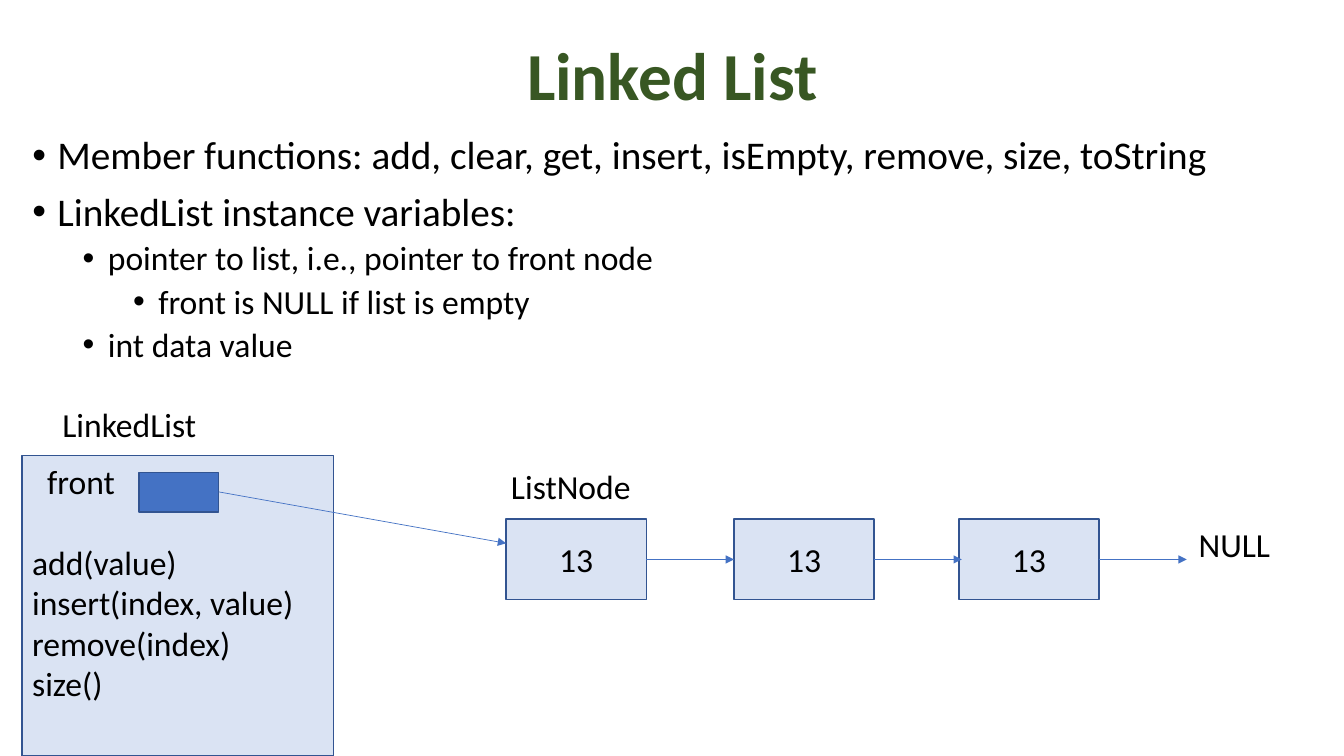
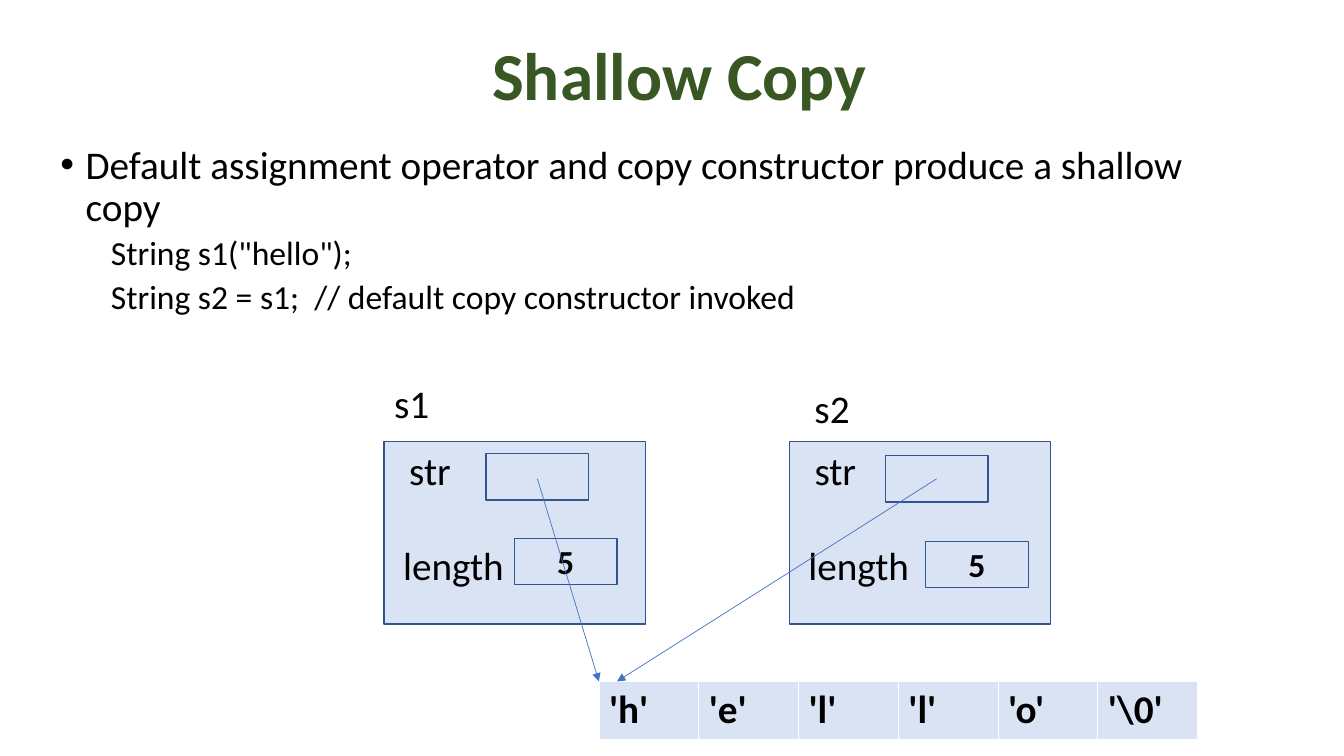
from lxml import etree
from pptx import Presentation
from pptx.dml.color import RGBColor
from pptx.enum.shapes import MSO_CONNECTOR as Connector, MSO_SHAPE as Preset
from pptx.enum.text import MSO_ANCHOR as Anchor, MSO_AUTO_SIZE as AutoSize, PP_ALIGN as Align
from pptx.oxml.ns import qn
from pptx.util import Inches, Pt

BLACK = RGBColor(0x00, 0x00, 0x00)
GREEN = RGBColor(0x38, 0x57, 0x23)
BLUE = RGBColor(0x44, 0x72, 0xC4)
DARK_BLUE = RGBColor(0x32, 0x54, 0x91)
PALE_BLUE = RGBColor(0xDA, 0xE3, 0xF3)
FONT = "Calibri"
SIZES = [28, 24, 24]  # body text by level

# Body lines: (level, bulleted, text)
LIST_BODY = [
    (0, True, "Member functions: add, clear, get, insert, isEmpty, remove, size, toString"),
    (0, True, "LinkedList instance variables:"),
    (1, True, "pointer to list, i.e., pointer to front node"),
    (2, True, "front is NULL if list is empty"),
    (1, True, "int data value"),
]
COPY_BODY = [
    (0, True, "Default assignment operator and copy constructor produce a shallow copy"),
    (1, False, 'String s1("hello");'),
    (1, False, "String s2 = s1;  // default copy constructor invoked"),
]

# Box lines: (text, indent in inches, space before in points)
LIST_MEMBERS = [("front", 0.15, 0), ("add(value)", 0, 29.3), ("insert(index, value)", 0, 0),
                ("remove(index)", 0, 0), ("size()", 0, 0)]
STRING_MEMBERS = [("str", 0.15, 0), ("length", 0.09, 34.2)]

NODE_LEFTS = [5.02, 7.28, 9.51]
NODE_TOP, NODE_WIDTH, NODE_HEIGHT = 5.15, 1.39, 0.8
NODE_VALUE = "13"
ARROW_LENGTH = 0.87

# Each string object: box left, label position, str field, length field, arrow tip x
STRINGS = [
    {"name": "s1", "left": 3.81, "label": (3.81, 3.71), "str": (4.82, 4.5),
     "length": (5.1, 5.34), "tip": 5.94},
    {"name": "s2", "left": 7.83, "label": (7.98, 3.76), "str": (8.78, 4.52),
     "length": (9.18, 5.37), "tip": 6.12},
]
FIELD_WIDTH, FIELD_HEIGHT = 1.02, 0.46
CHARACTERS = ["'h'", "'e'", "'l'", "'l'", "'o'", "'\\0'"]
ARRAY_LEFT, ARRAY_TOP, CELL_WIDTH, CELL_HEIGHT = 5.94, 6.76, 0.99, 0.57


def set_font(paragraph, size, color=BLACK, bold=False):
    values = {"name": FONT, "size": Pt(size), "bold": bold}
    for run in paragraph.runs:
        for name, value in values.items():
            setattr(run.font, name, value)
        run.font.color.rgb = color


def place(shape, left, top, width, height):
    box = {"left": left, "top": top, "width": width, "height": height}
    for name, value in box.items():
        setattr(shape, name, Inches(value))


def indent(paragraph, left, first=0.0):
    properties = paragraph._p.get_or_add_pPr()
    properties.set("marL", str(Inches(left)))
    properties.set("indent", str(Inches(first)))
    return properties


def add_slide(presentation, title, title_box, body, body_box):
    slide = presentation.slides.add_slide(presentation.slide_layouts[1])
    heading, content = slide.placeholders
    place(heading, *title_box)
    place(content, *body_box)
    for shape, anchor in ((heading, Anchor.MIDDLE), (content, Anchor.TOP)):
        shape.text_frame.auto_size = AutoSize.NONE
        shape.text_frame.vertical_anchor = anchor

    heading.text_frame.text = title
    paragraph = heading.text_frame.paragraphs[0]
    paragraph.alignment, paragraph.line_spacing = Align.CENTER, 0.9
    set_font(paragraph, 48, GREEN, True)

    content.text_frame.text = "\n".join(text for _, _, text in body)
    for paragraph, (level, bulleted, _) in zip(content.text_frame.paragraphs, body):
        paragraph.level = level
        paragraph.line_spacing = 0.9
        paragraph.space_before = Pt(5 if level else 10)
        set_font(paragraph, SIZES[level])
        if bulleted:
            properties = indent(paragraph, 0.25 + 0.5 * level, -0.25)
            etree.SubElement(properties, qn("a:buFont")).set("typeface", "Arial")
            etree.SubElement(properties, qn("a:buChar")).set("char", "•")
        else:
            properties = indent(paragraph, 0.5 * level)
            etree.SubElement(properties, qn("a:buNone"))
    return slide


def add_box(slide, left, top, width, height, fill=PALE_BLUE):
    shape = slide.shapes.add_shape(Preset.RECTANGLE, *map(Inches, (left, top, width, height)))
    shape.shadow.inherit = False
    shape.fill.solid()
    shape.fill.fore_color.rgb = fill
    shape.line.color.rgb = DARK_BLUE
    shape.line.width = Pt(1)
    return shape


def add_value_box(slide, box, text, bold=False):
    frame = add_box(slide, *box).text_frame
    frame.text = text
    frame.vertical_anchor = Anchor.MIDDLE
    frame.paragraphs[0].alignment = Align.CENTER
    set_font(frame.paragraphs[0], 24, bold=bold)


def add_member_box(slide, box, members, size):
    frame = add_box(slide, *box).text_frame
    frame.text = "\n".join(text for text, _, _ in members)
    frame.vertical_anchor = Anchor.TOP
    for paragraph, (_, left, before) in zip(frame.paragraphs, members):
        paragraph.alignment = Align.LEFT
        paragraph.space_before = Pt(before)
        indent(paragraph, left)
        set_font(paragraph, size)


def add_label(slide, text, left, top, width, height, size):
    frame = slide.shapes.add_textbox(*map(Inches, (left, top, width, height))).text_frame
    frame.word_wrap = True
    frame.auto_size = AutoSize.SHAPE_TO_FIT_TEXT
    frame.text = text
    set_font(frame.paragraphs[0], size)


def add_arrow(slide, start, end):
    connector = slide.shapes.add_connector(Connector.STRAIGHT, *map(Inches, (*start, *end)))
    connector.line.color.rgb = BLUE
    connector.line.width = Pt(0.5)
    properties = connector._element.spPr
    etree.SubElement(properties.find(qn("a:ln")), qn("a:tailEnd")).set("type", "triangle")
    etree.SubElement(properties, qn("a:effectLst"))


def add_character_array(slide):
    width = CELL_WIDTH * len(CHARACTERS)
    table = slide.shapes.add_table(
        1, len(CHARACTERS), *map(Inches, (ARRAY_LEFT, ARRAY_TOP, width, CELL_HEIGHT))).table
    for cell, character in zip(table.rows[0].cells, CHARACTERS):
        cell.text = character
        cell.vertical_anchor = Anchor.MIDDLE
        cell.fill.solid()
        cell.fill.fore_color.rgb = PALE_BLUE
        set_font(cell.text_frame.paragraphs[0], 28, bold=True)


def build_linked_list(presentation):
    slide = add_slide(presentation, "Linked List", (0.92, 0.06, 11.5, 1.45),
                      LIST_BODY, (0.22, 1.3, 12.9, 5.72))
    add_member_box(slide, (0.22, 4.52, 3.09, 2.98), LIST_MEMBERS, 24)
    add_box(slide, 1.38, 4.69, 0.79, 0.39, BLUE)
    add_label(slide, "LinkedList", 0.52, 3.96, 2.8, 0.5, 24)
    add_label(slide, "ListNode", 4.97, 4.57, 1.7, 0.5, 24)
    add_label(slide, "NULL", 11.79, 5.15, 1.77, 0.5, 24)
    for left in NODE_LEFTS:
        add_value_box(slide, (left, NODE_TOP, NODE_WIDTH, NODE_HEIGHT), NODE_VALUE)
    add_arrow(slide, (2.17, 4.88), (NODE_LEFTS[0], 5.39))
    middle = NODE_TOP + NODE_HEIGHT / 2
    for left in NODE_LEFTS:
        right = left + NODE_WIDTH
        add_arrow(slide, (right, middle), (right + ARROW_LENGTH, middle))


def build_shallow_copy(presentation):
    slide = add_slide(presentation, "Shallow Copy", (1.07, 0.18, 11.34, 1.2),
                      COPY_BODY, (0.5, 1.39, 11.92, 5.37))
    add_character_array(slide)
    for string in STRINGS:
        add_member_box(slide, (string["left"], 4.38, 2.59, 1.81), STRING_MEMBERS, 28)
        add_box(slide, *string["str"], FIELD_WIDTH, FIELD_HEIGHT)
        add_value_box(slide, (*string["length"], FIELD_WIDTH, FIELD_HEIGHT), "5", True)
        add_label(slide, string["name"], *string["label"], 1.1, 0.57, 28)
    for string in STRINGS:
        start = (string["str"][0] + FIELD_WIDTH / 2, 4.75)
        add_arrow(slide, start, (string["tip"], ARRAY_TOP))


def main():
    presentation = Presentation()
    presentation.slide_width = Inches(13.33)
    presentation.slide_height = Inches(7.5)
    build_linked_list(presentation)
    build_shallow_copy(presentation)
    presentation.save("out.pptx")


if __name__ == "__main__":
    main()
